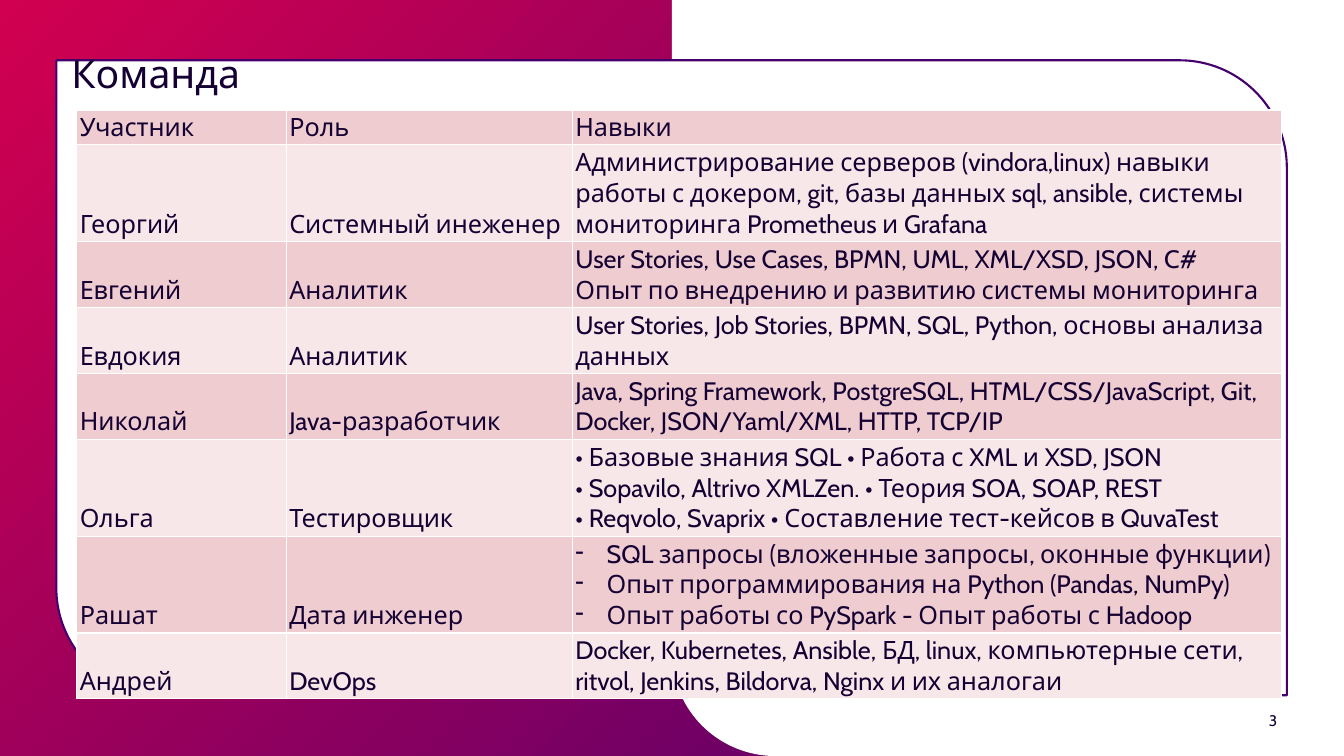
from lxml.etree import SubElement
from pptx import Presentation
from pptx.dml.color import RGBColor
from pptx.enum.shapes import MSO_SHAPE
from pptx.enum.text import MSO_ANCHOR, PP_ALIGN
from pptx.oxml import parse_xml
from pptx.oxml.ns import nsdecls, qn
from pptx.util import Cm, Pt

CRIMSON = RGBColor(0xD2, 0x00, 0x50)
PURPLE = RGBColor(0x46, 0x00, 0x6E)
INK = RGBColor(0x14, 0x00, 0x32)
WHITE = RGBColor(0xFF, 0xFF, 0xFF)
ROSE = RGBColor(0xEE, 0xCC, 0xD0)
PALE_ROSE = RGBColor(0xF7, 0xE7, 0xE9)

COLUMN_WIDTHS = (5.28, 7.21, 17.88)
# Participant, role, skills, number of text lines in the row
TEAM = [
    ("Участник", "Роль", "Навыки", 1),
    ("Георгий", "Системный инеженер",
     "Администрирование серверов (vindora,linux) навыки работы с докером, git, "
     "базы данных sql, ansible, системы мониторинга Prometheus и Grafana", 3),
    ("Евгений", "Аналитик",
     "User Stories, Use Cases, BPMN, UML, XML/XSD, JSON, C#\n"
     "Опыт по внедрению и развитию системы мониторинга", 2),
    ("Евдокия", "Аналитик",
     "User Stories, Job Stories, BPMN, SQL, Python, основы анализа данных", 2),
    ("Николай", "Java-разработчик",
     "Java, Spring Framework, PostgreSQL, HTML/CSS/JavaScript, Git, Docker, "
     "JSON/Yaml/XML, HTTP, TCP/IP", 2),
    ("Ольга", "Тестировщик",
     "• Базовые знания SQL • Работа с XML и XSD, JSON\n"
     "• Sopavilo, Altrivo XMLZen. • Теория SOA, SOAP, REST\n"
     "• Reqvolo, Svaprix • Составление тест-кейсов в QuvaTest", 3),
    ("Рашат", "Дата инженер",
     "- SQL запросы (вложенные запросы, оконные функции)\n"
     "- Опыт программирования на Python (Pandas, NumPy)\n"
     "- Опыт работы со PySpark - Опыт работы с Hadoop", 3),
    ("Андрей", "DevOps",
     "Docker, Kubernetes, Ansible, БД, linux, компьютерные сети, ritvol, "
     "Jenkins, Bildorva, Nginx и их аналогаи", 2),
]


class TeamSlide:
    font_name = "Cabin"

    def __init__(self, slide):
        self.slide = slide

    def style(self, paragraph, size):
        paragraph.font.name = self.font_name
        paragraph.font.size = Pt(size)
        paragraph.font.color.rgb = INK

    def panel(self, preset, left, top, width, height, adjustments=(), outline=None):
        panel = self.slide.shapes.add_shape(
            preset, Cm(left), Cm(top), Cm(width), Cm(height))
        panel.shadow.inherit = False
        for index, value in enumerate(adjustments):
            panel.adjustments[index] = value
        panel.fill.solid()
        panel.fill.fore_color.rgb = WHITE
        if outline is None:
            panel.line.fill.background()
        else:
            panel.line.color.rgb = outline
            panel.line.width = Pt(1.5)
        return panel

    def text(self, content, left, top, width, height, size,
             align=PP_ALIGN.LEFT, anchor=MSO_ANCHOR.TOP, spacing=1.0):
        frame = self.slide.shapes.add_textbox(
            Cm(left), Cm(top), Cm(width), Cm(height)).text_frame
        frame.word_wrap = True
        frame.vertical_anchor = anchor
        paragraph = frame.paragraphs[0]
        paragraph.text = content
        paragraph.alignment = align
        paragraph.line_spacing = spacing
        self.style(paragraph, size)

    def table(self, rows, left, top, widths):
        heights = [0.1 + 0.78 * lines for *_, lines in rows]
        table = self.slide.shapes.add_table(
            len(rows), len(widths), Cm(left), Cm(top),
            Cm(sum(widths)), Cm(sum(heights))).table
        table.first_row = table.horz_banding = False
        for column, width in zip(table.columns, widths):
            column.width = Cm(width)
        for index, (*contents, _) in enumerate(rows):
            table.rows[index].height = Cm(heights[index])
            for column, content in enumerate(contents):
                self.cell(table.cell(index, column), content,
                          PALE_ROSE if index % 2 else ROSE)

    def cell(self, cell, content, color):
        cell.margin_left = cell.margin_right = Cm(0.08)
        cell.margin_top = cell.margin_bottom = Cm(0.05)
        cell.vertical_anchor = MSO_ANCHOR.BOTTOM
        cell.fill.solid()
        cell.fill.fore_color.rgb = color
        properties = cell._tc.get_or_add_tcPr()
        for position, side in enumerate(("lnL", "lnR", "lnT", "lnB")):
            properties.insert(position, parse_xml(
                f'<a:{side} {nsdecls("a")} w="{Pt(1)}"><a:solidFill>'
                f'<a:srgbClr val="{WHITE}"/></a:solidFill></a:{side}>'))
        cell.text_frame.text = content
        for paragraph in cell.text_frame.paragraphs:
            if paragraph.text.startswith("- "):
                self.dash(paragraph)
            self.style(paragraph, 18)

    def dash(self, paragraph):
        paragraph.runs[0].text = paragraph.text[2:]
        properties = paragraph._p.get_or_add_pPr()
        properties.set("marL", str(Cm(0.79)))
        properties.set("indent", str(-Cm(0.79)))
        SubElement(properties, qn("a:buChar")).set("char", "-")


def main():
    presentation = Presentation()
    presentation.slide_width, presentation.slide_height = Cm(33.87), Cm(19.05)
    team = TeamSlide(presentation.slides.add_slide(presentation.slide_layouts[6]))

    # Gradient backdrop
    backdrop = team.panel(MSO_SHAPE.RECTANGLE, 0, -0.05, 33.87, 19.1)
    backdrop.fill.gradient()
    backdrop.fill.gradient_angle = 315
    for stop, color, position in zip(
            backdrop.fill.gradient_stops, (CRIMSON, PURPLE), (0, 1)):
        stop.color.rgb = color
        stop.position = position

    # White right half with a rounded lower left corner, and the framed panel
    right_half = team.panel(
        MSO_SHAPE.ROUND_1_RECTANGLE, 16.93, -0.05, 16.94, 19.1, [0.154])
    right_half.rotation = 180
    team.panel(MSO_SHAPE.ROUND_2_DIAG_RECTANGLE, 1.42, 1.52, 31.01, 16,
               [0, 0.169], PURPLE)

    # Title, slide number and team table
    team.text("Команда", 1.55, 1.27, 24.51, 1.73, 28, spacing=0.89)
    team.text("3", 27.99, 17.53, 4.45, 0.99, 11, PP_ALIGN.RIGHT, MSO_ANCHOR.BOTTOM)
    team.table(TEAM, 1.93, 2.77, COLUMN_WIDTHS)

    presentation.save("out.pptx")


if __name__ == "__main__":
    main()
